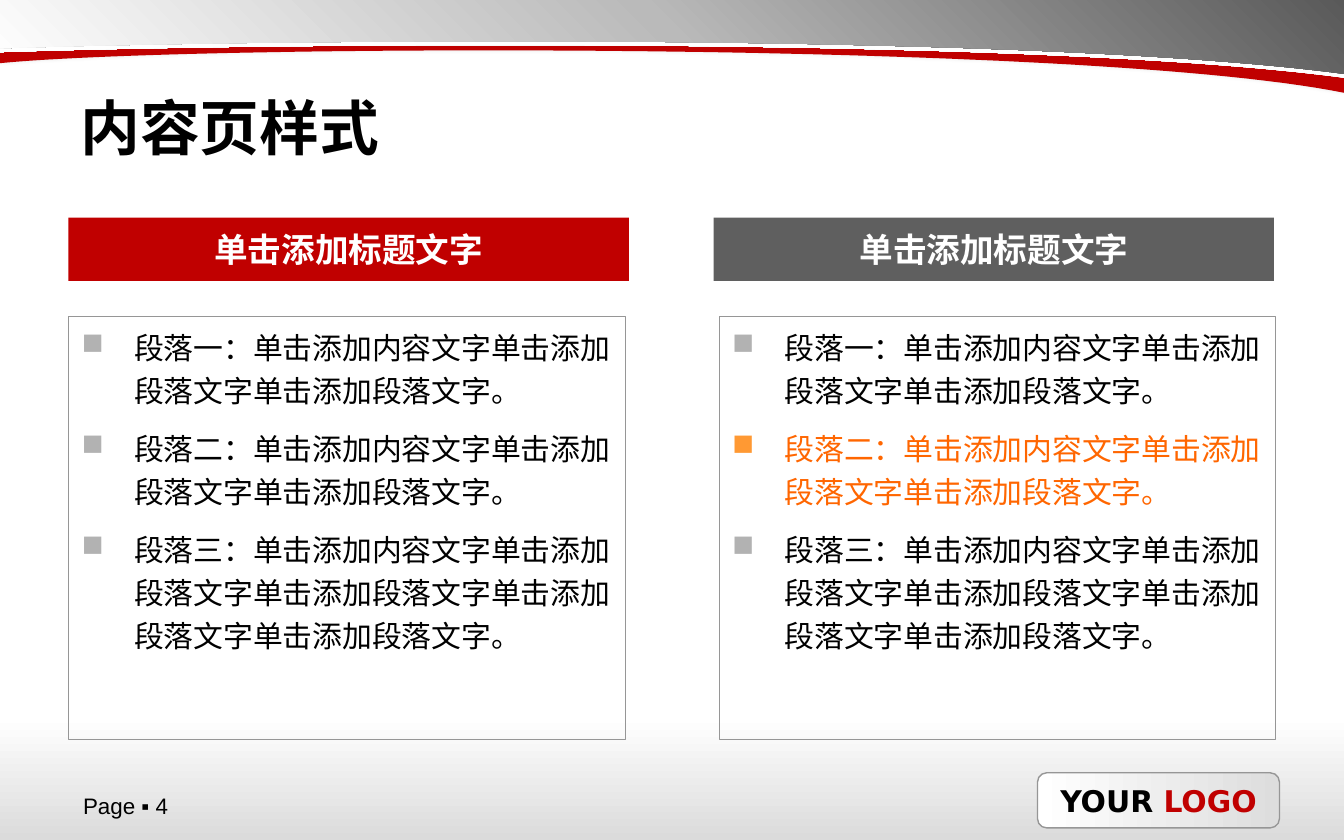
from lxml import etree
from pptx import Presentation
from pptx.dml.color import RGBColor
from pptx.enum import shapes, text
from pptx.oxml import parse_xml
from pptx.oxml.ns import nsdecls, qn
from pptx.util import Inches, Pt

BLACK = RGBColor(0, 0, 0)
WHITE = RGBColor(255, 255, 255)
RED = RGBColor(0xC0, 0, 0)
DARK = RGBColor(0x5F, 0x5F, 0x5F)
EDGE = RGBColor(0x96, 0x96, 0x96)
SILVER = RGBColor(0xB2, 0xB2, 0xB2)
AMBER = RGBColor(0xFF, 0x99, 0x33)
ORANGE = RGBColor(0xFF, 0x66, 0)
ASH = RGBColor(0x59, 0x59, 0x59)
MIST = RGBColor(0xBA, 0xBA, 0xBA)
PALE = RGBColor(0xDD, 0xDD, 0xDD)
HAZE = RGBColor(0xDB, 0xDB, 0xDB)

FACE = "DejaVu Sans"
HEAD = "单击添加标题文字"
FIRST = "单击添加内容文字"
MORE = "单击添加段落文字"
ITEMS = [
    "段落一：" + FIRST + MORE * 2 + "。",
    "段落二：" + FIRST + MORE * 2 + "。",
    "段落三：" + FIRST + MORE * 4 + "。",
]
RECT = shapes.MSO_SHAPE.RECTANGLE
ROUND = shapes.MSO_SHAPE.ROUNDED_RECTANGLE


def set_font(font, size, color, bold=False, face=FACE):
    font.name = face
    font.size = Pt(size)
    font.bold = bold
    font.color.rgb = color


def add_box(slide, kind, at, fill=None, line=None, width=0.75):
    box = slide.shapes.add_shape(kind, *map(Inches, at))
    box.shadow.inherit = False
    paint(box, fill, line, width)
    return box


def paint(shape, fill, line=None, width=0.75):
    if fill is None:
        shape.fill.background()
    else:
        shape.fill.solid()
        shape.fill.fore_color.rgb = fill
    if line is None:
        shape.line.fill.background()
    else:
        shape.line.color.rgb = line
        shape.line.width = Pt(width)


def blend(shape, colors, angle):
    step = 100000 // (len(colors) - 1)
    stops = "".join(
        f'<a:gs pos="{i * step}"><a:srgbClr val="{color}"/></a:gs>'
        for i, color in enumerate(colors)
    )
    grad = parse_xml(
        f'<a:gradFill {nsdecls("a")} rotWithShape="1"><a:gsLst>{stops}</a:gsLst>'
        f'<a:lin ang="{angle * 60000}" scaled="0"/></a:gradFill>'
    )
    props = shape._element.spPr
    props.replace(props.find(qn("a:solidFill")), grad)


def cast(shape, color, alpha, blur, dist, angle):
    glow = parse_xml(
        f'<a:outerShdw {nsdecls("a")} blurRad="{Pt(blur)}" dist="{Pt(dist)}" '
        f'dir="{angle * 60000}" algn="ctr" rotWithShape="0">'
        f'<a:srgbClr val="{color}"><a:alpha val="{alpha * 1000}"/></a:srgbClr>'
        "</a:outerShdw>"
    )
    shape._element.spPr.find(qn("a:effectLst")).append(glow)


def curve(ends, count=60):
    points = []
    for i in range(count + 1):
        t = i / count
        s = 1 - t
        parts = (s**3, 3 * s * s * t, 3 * s * t * t, t**3)
        points.append(tuple(
            Inches(sum(w * p[axis] for w, p in zip(parts, ends)))
            for axis in (0, 1)
        ))
    return points


def add_wave(slide, ends, left, top, fill):
    points = curve(ends)
    points += [(Inches(x), Inches(y)) for x, y in ((0, left), (0, top), (10, top))]
    pen = slide.shapes.build_freeform(*points[0])
    pen.add_line_segments(points[1:], close=True)
    wave = pen.convert_to_shape()
    wave.shadow.inherit = False
    paint(wave, fill)
    return wave


def add_label(slide, at, words, size, bold=False, face=FACE):
    frame = slide.shapes.add_textbox(*map(Inches, at)).text_frame
    frame.word_wrap = True
    frame.vertical_anchor = text.MSO_ANCHOR.MIDDLE
    para = frame.paragraphs[0]
    para.text = words
    set_font(para.font, size, BLACK, bold, face)


def center(box):
    frame = box.text_frame
    frame.word_wrap = False
    frame.vertical_anchor = text.MSO_ANCHOR.MIDDLE
    para = frame.paragraphs[0]
    para.alignment = text.PP_ALIGN.CENTER
    return para


def add_bar(slide, left, fill):
    para = center(add_box(slide, RECT, (left, 1.62, 4.17, 0.47), fill))
    para.text = HEAD
    set_font(para.font, 18, WHITE, True)


def add_bullet(para, color):
    props = para._p.get_or_add_pPr()
    props.set("marL", str(Inches(0.39)))
    props.set("indent", str(Inches(-0.39)))
    tint = etree.SubElement(props, qn("a:buClr"))
    etree.SubElement(tint, qn("a:srgbClr")).set("val", str(color))
    etree.SubElement(props, qn("a:buChar")).set("char", "■")


def add_list(slide, left, marked=None):
    box = add_box(slide, ROUND, (left, 2.35, 4.14, 3.15), None, EDGE, 0.25)
    box.adjustments[0] = 0
    frame = box.text_frame
    frame.word_wrap = True
    frame.vertical_anchor = text.MSO_ANCHOR.TOP
    for i, words in enumerate(ITEMS):
        para = frame.add_paragraph() if i else frame.paragraphs[0]
        para.text = words
        para.alignment = text.PP_ALIGN.LEFT
        para.line_spacing = 1.2
        if i:
            para.space_before = Pt(8)
        add_bullet(para, AMBER if i == marked else SILVER)
        set_font(para.font, 16, ORANGE if i == marked else BLACK)


def add_badge(slide):
    box = add_box(slide, ROUND, (7.72, 5.75, 1.8, 0.41), WHITE, EDGE)
    blend(box, (WHITE, PALE), 0)
    para = center(box)
    for words, color in (("YOUR ", BLACK), ("LOGO", RED)):
        run = para.add_run()
        run.text = words
        set_font(run.font, 16, color, True)


def add_frame(slide):
    base = add_box(slide, RECT, (0, 5.33, 10, 0.92), WHITE)
    blend(base, (WHITE, HAZE), 90)
    add_badge(slide)
    ends = ((10, 0.69), (8.05, 0.3), (1.42, 0.33), (0, 0.47))
    cast(add_wave(slide, ends, 0.41, 0, RED), BLACK, 40, 4, 3, 270)
    ends = ((10, 0.55), (7.68, 0.24), (2.11, 0.29), (0, 0.36))
    crest = add_wave(slide, ends, 0.31, -0.03, ASH)
    blend(crest, (ASH, MIST, WHITE), 135)
    cast(crest, WHITE, 100, 0, 2, 90)


def main():
    deck = Presentation()
    deck.slide_width = Inches(10)
    deck.slide_height = Inches(6.25)
    slide = deck.slides.add_slide(deck.slide_layouts[6])
    add_frame(slide)
    add_label(slide, (0.5, 0.6, 9, 0.69), "内容页样式", 32, True)
    add_bar(slide, 5.31, DARK)
    add_list(slide, 5.35, 1)
    add_bar(slide, 0.51, RED)
    add_list(slide, 0.51)
    add_label(slide, (0.52, 5.88, 1.57, 0.22), "Page ▪ 4", 12, face="Arial")
    deck.save("out.pptx")


if __name__ == "__main__":
    main()
